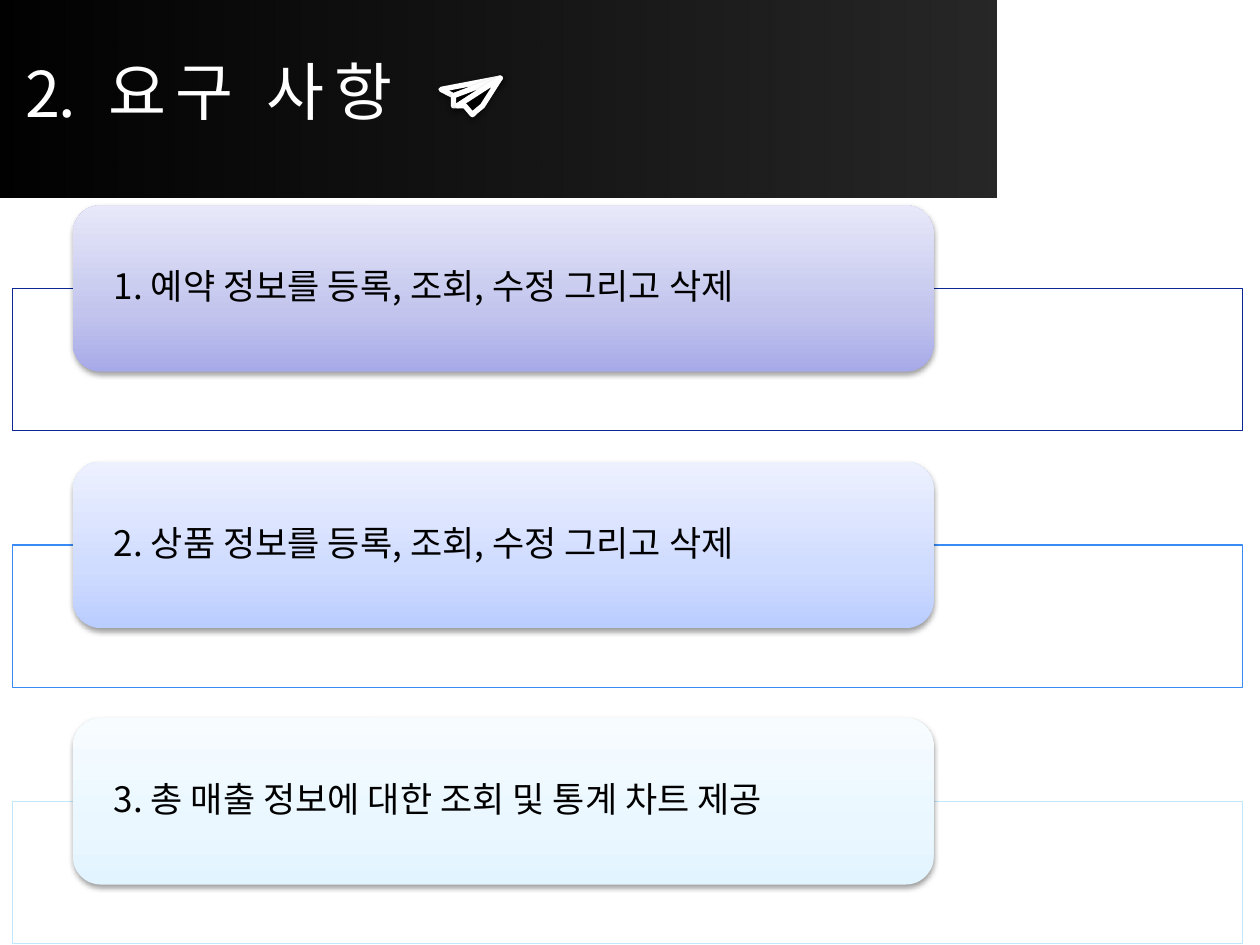
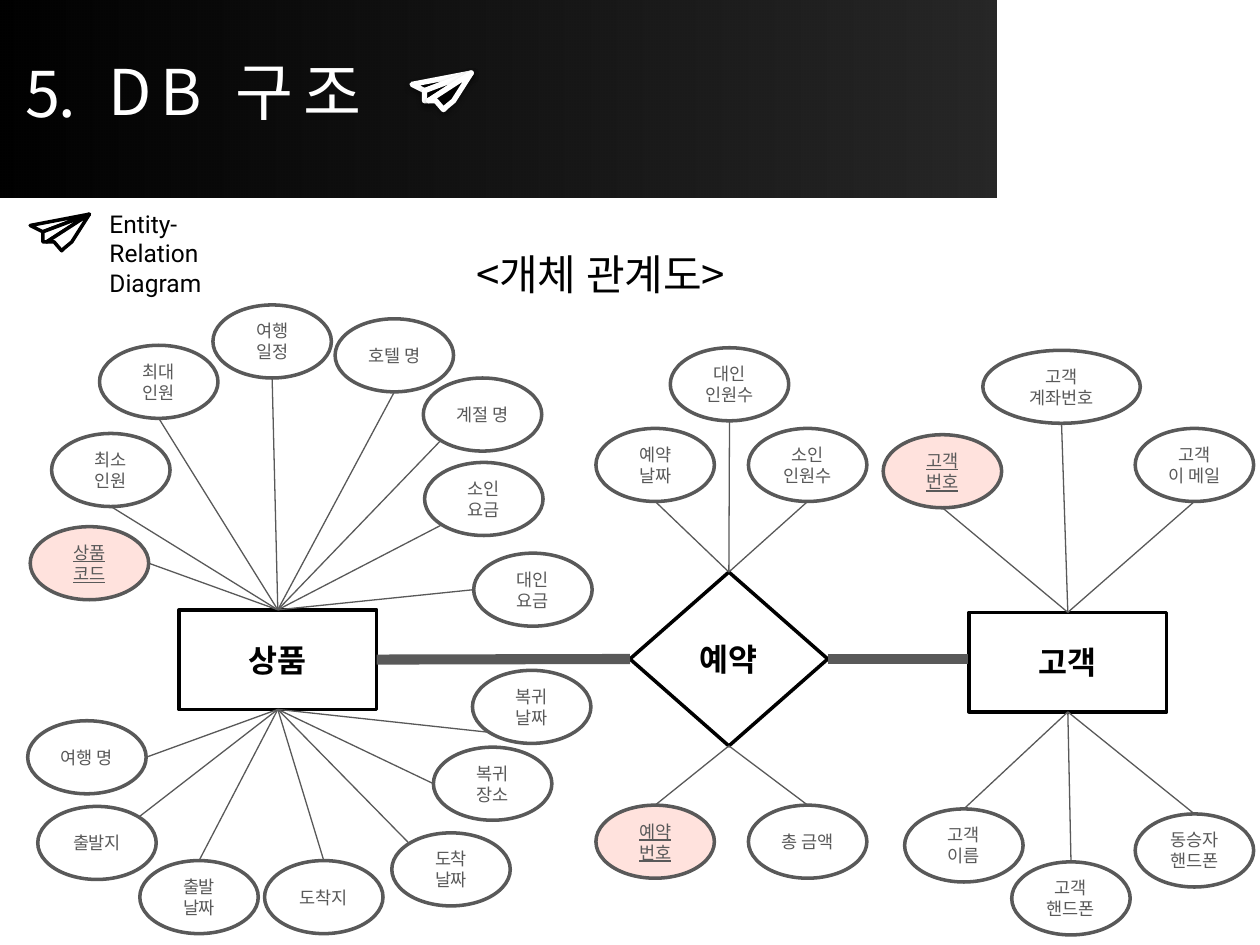
from lxml.etree import SubElement
from pptx import Presentation
from pptx.dml.color import RGBColor
from pptx.enum.shapes import MSO_CONNECTOR, MSO_SHAPE
from pptx.enum.text import MSO_ANCHOR, MSO_AUTO_SIZE, PP_ALIGN
from pptx.oxml import parse_xml
from pptx.oxml.ns import nsdecls, qn
from pptx.util import Pt

PX = 9144  # 100 px to the inch
SANS, LATIN, SMALL = "Noto Sans CJK KR", "Roboto", "Calibri"
BLACK = RGBColor(0x00, 0x00, 0x00)
WHITE = RGBColor(0xFF, 0xFF, 0xFF)
GRAY = RGBColor(0x59, 0x59, 0x59)
CORAL = RGBColor(0xFF, 0x6E, 0x57)
NAVY = RGBColor(0x0A, 0x27, 0x93)
BLUE = RGBColor(0x38, 0x8A, 0xF5)
SKY = RGBColor(0xC0, 0xE8, 0xFD)

# Text, frame colour, gradient from bottom to top
NEEDS = [
    ("1. 예약 정보를 등록, 조회, 수정 그리고 삭제", NAVY,
     [(0, "A7AAE8"), (35, "C2C4ED"), (100, "E7E8F9")]),
    ("2. 상품 정보를 등록, 조회, 수정 그리고 삭제", BLUE,
     [(0, "BACDFF"), (35, "CFDBFF"), (100, "EDF1FF")]),
    ("3. 총 매출 정보에 대한 조회 및 통계 차트 제공", SKY,
     [(0, "E1F4FF"), (35, "EAF7FF"), (100, "F7FCFF")]),
]
NEED_TOP, NEED_STEP = 163, 203.5

# Name, shape, box, then the attributes joined to its top (0) and bottom (2):
# text, left, top, side of the oval where the line ends
ENTITIES = [
    ("상품", MSO_SHAPE.RECTANGLE, (142, 484, 157, 79), {
        0: [("상품\n코드", 24, 418, "right"), ("최대\n인원", 79, 274, "bottom"),
            ("최소\n인원", 41, 344, "bottom"), ("여행\n일정", 169, 242, "bottom"),
            ("호텔 명", 266, 253, "bottom"), ("계절 명", 336, 300, "low left"),
            ("소인\n요금", 337, 367, "low left"), ("대인\n요금", 376, 439, "left")],
        2: [("복귀\n날짜", 375, 532, "low left"), ("복귀\n장소", 344, 593, "left"),
            ("도착\n날짜", 311, 661, "high left"), ("도착지", 210, 683, "top"),
            ("출발\n날짜", 111, 683, "top"), ("출발지", 30, 640, "high right"),
            ("여행 명", 22, 572, "right")]}),
    ("예약", MSO_SHAPE.FLOWCHART_DECISION, (500, 454, 157, 138), {
        0: [("예약\n날짜", 473, 340, "bottom"), ("대인\n인원수", 532, 276, "bottom"),
            ("소인\n인원수", 594, 340, "bottom")],
        2: [("예약\n번호", 473, 639, "top"), ("총 금액", 594, 639, "top")]}),
    ("고객", MSO_SHAPE.RECTANGLE, (769, 486, 157, 79), {
        0: [("고객\n번호", 701, 345, "bottom"), ("고객\n계좌번호", 780, 278, "bottom"),
            ("고객\n이 메일", 901, 340, "bottom")],
        2: [("고객\n이름", 718, 642, "top"), ("고객\n핸드폰", 803, 684, "top"),
            ("동승자 핸드폰", 901, 646, "top")]}),
]
KEYS = {"상품\n코드", "예약\n번호", "고객\n번호"}
WIDE = {"고객\n계좌번호": 125}
OVAL_W, OVAL_H = 94, 58
SIDES = {"top": (0.5, 0), "bottom": (0.5, 1), "left": (0, 0.5), "right": (1, 0.5),
         "low left": (0.15, 0.85), "high left": (0.15, 0.15),
         "high right": (0.85, 0.15)}

PLANE = [
    [(47, 0), (0, 9), (10, 14)],
    [(10, 14), (47, 0), (13, 22), (10, 22), (10, 17)],
    [(13, 22), (47, 0), (33, 22), (27, 27), (25, 29), (19, 22)],
]


def emu(*sizes):
    return [round(size * PX) for size in sizes]


def paint(shape, fill, line, width=1):
    """Set fill and line (None for neither) and drop the theme shadow."""
    shape.shadow.inherit = False
    if fill is None:
        shape.fill.background()
    else:
        shape.fill.solid()
        shape.fill.fore_color.rgb = fill
    if line is None:
        shape.line.fill.background()
    else:
        shape.line.color.rgb = line
        shape.line.width = Pt(width)


def fade(shape, pct):
    """Make the solid fill pct percent opaque."""
    tone = shape.element.spPr.find(qn("a:solidFill"))[0]
    SubElement(tone, qn("a:alpha"), val=str(pct * 1000))


def blend(shape, stops, angle):
    """Fill with a gradient; a stop is place, colour and maybe opacity."""
    marks = ""
    for place, tone, *clear in stops:
        alpha = "".join(f'<a:alpha val="{pct * 1000}"/>' for pct in clear)
        marks += f'<a:gs pos="{place * 1000}"><a:srgbClr val="{tone}">{alpha}</a:srgbClr></a:gs>'
    shape.fill.background()
    props = shape.element.spPr
    props.replace(props.find(qn("a:noFill")), parse_xml(
        f'<a:gradFill {nsdecls("a")} rotWithShape="1"><a:gsLst>{marks}</a:gsLst>'
        f'<a:lin ang="{angle * 60000}" scaled="0"/></a:gradFill>'))


def shade(shape):
    """Add a soft shadow just below the shape."""
    shape.element.spPr.find(qn("a:effectLst")).append(parse_xml(
        f'<a:outerShdw {nsdecls("a")} blurRad="39370" dist="20320" dir="5400000" '
        'rotWithShape="0"><a:srgbClr val="000000"><a:alpha val="38000"/>'
        '</a:srgbClr></a:outerShdw>'))


def write(shape, text, size, font, color, align=PP_ALIGN.LEFT, gap=None,
          bold=False, under=False):
    shape.text_frame.text = text
    for para in shape.text_frame.paragraphs:
        para.alignment = align
        for run in para.runs:
            face = run.font
            face.name, face.size = font, Pt(size)
            face.color.rgb = color
            face.bold, face.underline = bold, under
            props = run._r.get_or_add_rPr()
            SubElement(props, qn("a:ea"), typeface=font)
            if gap is not None:
                props.set("spc", str(gap))


def label(slide, box, text, size, font, color, wrap=True, gap=None):
    note = slide.shapes.add_textbox(*emu(*box))
    note.text_frame.word_wrap = wrap
    note.text_frame.auto_size = MSO_AUTO_SIZE.SHAPE_TO_FIT_TEXT
    write(note, text, size, font, color, gap=gap)


def plane(slide, left, top, fill, line, width, shadow):
    for (x, y), *rest in PLANE:
        pen = slide.shapes.build_freeform(left + x, top + y, scale=PX)
        pen.add_line_segments([(left + a, top + b) for a, b in rest])
        fold = pen.convert_to_shape()
        paint(fold, fill, line, width)
        SubElement(fold.element.spPr.find(qn("a:ln")), qn("a:round"))
        if shadow:
            shade(fold)


def band(layout, slide):
    """Put the title band on the layout, by way of a slide."""
    bar = slide.shapes.add_shape(MSO_SHAPE.RECTANGLE, *emu(0, 0, 791, 157))
    paint(bar, None, None)
    blend(bar, [(0, "000000"), (100, "000000", 85)], 0)
    bar.element.nvSpPr.cNvPr.set("id", "20")
    layout.shapes.element.append(bar.element)


def title(slide, number, text):
    label(slide, (10, 38, 68, 71), number, 36, SANS, WHITE, wrap=False, gap=-90)
    label(slide, (76, 37, 472, 71), text, 36, SANS, WHITE, gap=550)


def need(slide, top, text, color, stops):
    frame = slide.shapes.add_shape(MSO_SHAPE.RECTANGLE, *emu(10, top + 66, 976, 113))
    paint(frame, WHITE, color, 0.75)
    fade(frame, 90)
    card = slide.shapes.add_shape(MSO_SHAPE.ROUNDED_RECTANGLE, *emu(58, top, 683, 132))
    paint(card, None, None)
    blend(card, stops, 270)
    shade(card)
    write(card, text, 20, SANS, BLACK)
    frame = card.text_frame
    frame.word_wrap = True
    frame.vertical_anchor = MSO_ANCHOR.MIDDLE
    frame.margin_left, frame.margin_right, frame.margin_top, frame.margin_bottom = emu(26, 26, 0, 0)
    frame.paragraphs[0].line_spacing = 0.9


def node(slide, kind, box, text, fill, line, **style):
    shape = slide.shapes.add_shape(kind, *emu(*box))
    paint(shape, fill, line, 2)
    shape.text_frame.word_wrap = True
    shape.text_frame.vertical_anchor = MSO_ANCHOR.MIDDLE
    write(shape, text, align=PP_ALIGN.CENTER, **style)
    return shape


def link(slide, hub, port, x, y, width):
    """Draw a line from a side of the hub to a point."""
    wire = slide.shapes.add_connector(MSO_CONNECTOR.STRAIGHT, *emu(x, y, x, y))
    wire.begin_connect(hub, port)
    wire.line.color.rgb = GRAY
    wire.line.width = Pt(width)
    SubElement(wire._element.spPr, qn("a:effectLst"))
    return wire


def field(slide, hub, port, text, left, top, side):
    """Draw an attribute oval and its line to the entity."""
    wide, key = WIDE.get(text, OVAL_W), text in KEYS
    oval = node(slide, MSO_SHAPE.OVAL, (left, top, wide, OVAL_H), text,
                CORAL if key else None, GRAY,
                size=10, font=SMALL, color=GRAY, under=key)
    if key:
        fade(oval, 20)
    dx, dy = SIDES[side]
    link(slide, hub, port, left + dx * wide, top + dy * OVAL_H, 0.75)


def needs(slide):
    title(slide, "2.", "요구 사항")
    for row, (text, color, stops) in enumerate(NEEDS):
        need(slide, NEED_TOP + row * NEED_STEP, text, color, stops)
    plane(slide, 350, 62, BLACK, WHITE, 3, True)


def schema(slide):
    title(slide, "5.", "DB 구조")
    label(slide, (368, 192, 240, 50), "<개체 관계도>", 24, SANS, BLACK, wrap=False)
    plane(slide, 24, 170, WHITE, BLACK, 2, False)
    label(slide, (77, 161, 291, 81), "Entity-\nRelation\nDiagram", 14, LATIN, BLACK)
    hubs = []
    for name, kind, box, ports in ENTITIES:
        hub = node(slide, kind, box, name, WHITE, BLACK,
                   size=18, font=SANS, color=BLACK, bold=True)
        hubs.append(hub)
        for port, fields in ports.items():
            for item in fields:
                field(slide, hub, port, *item)
    goods, order, _ = hubs
    link(slide, order, 1, 300, 523, 5.75).end_connect(goods, 3)
    link(slide, order, 3, 768, 523, 5.75)
    plane(slide, 327, 58, BLACK, WHITE, 3, True)


def main():
    deck = Presentation()
    deck.slide_width, deck.slide_height = emu(1000, 750)
    blank = deck.slide_layouts[6]
    first, second = [deck.slides.add_slide(blank) for _ in range(2)]
    band(blank, first)
    needs(first)
    schema(second)
    deck.save("out.pptx")


if __name__ == "__main__":
    main()
